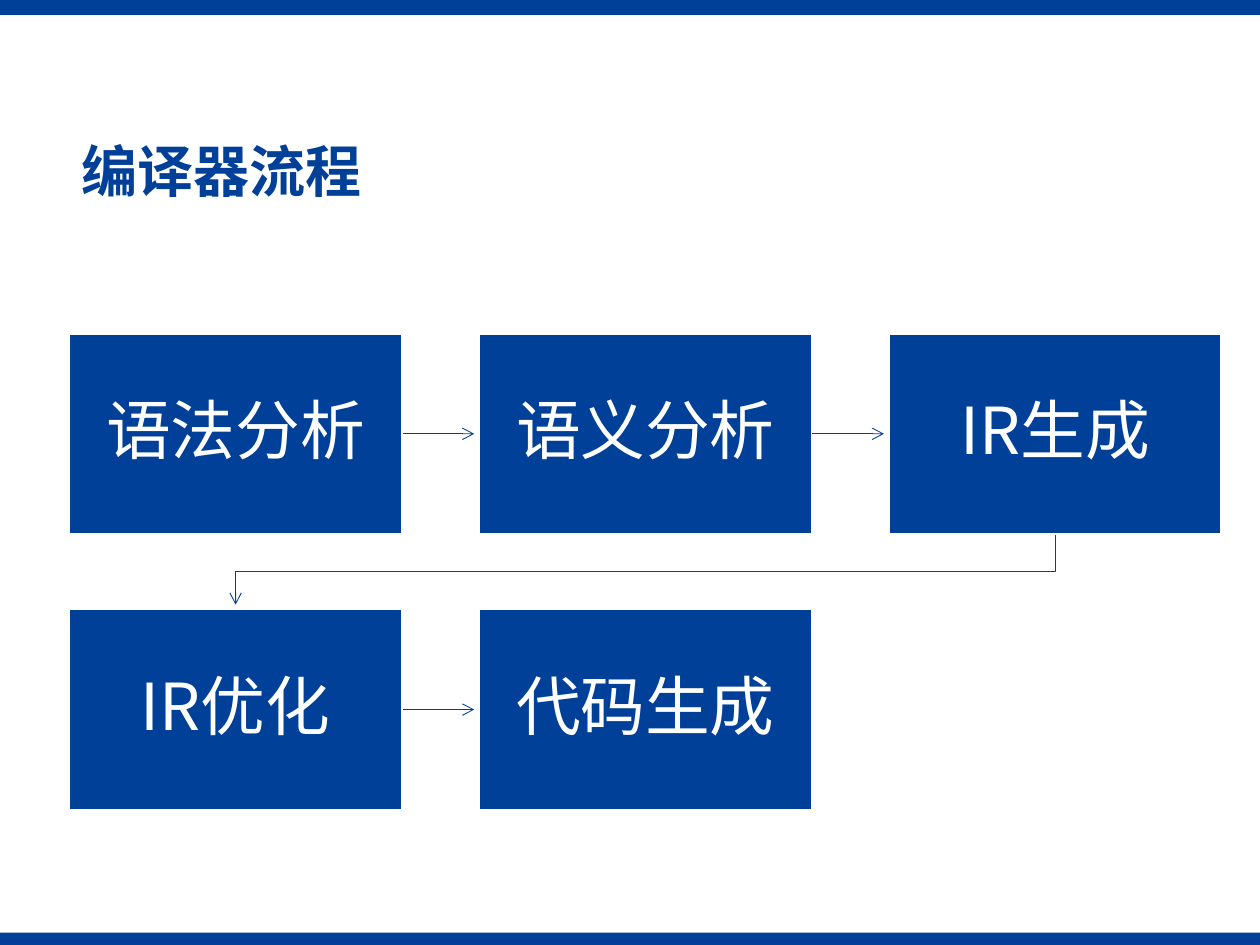
from dataclasses import dataclass

from lxml import etree
from pptx import Presentation
from pptx import util as u
from pptx.dml.color import RGBColor
from pptx.enum import shapes, text
from pptx.oxml import ns

BLUE = RGBColor(0x00, 0x40, 0x98)
WHITE = RGBColor(0xFF, 0xFF, 0xFF)
FONT = "Noto Sans CJK SC"

PAGE_WIDTH, PAGE_HEIGHT = u.Cm(25.4), u.Cm(19.05)
COLUMNS = 3
GRID_LEFT, GRID_TOP = u.Cm(1.4), u.Cm(6.73)
BOX_WIDTH, BOX_HEIGHT = u.Cm(6.7), u.Cm(4.03)
COLUMN_PITCH, ROW_PITCH = u.Cm(8.26), u.Cm(5.56)
ARROW_GAP = u.Cm(0.1)
INSET = u.Cm(0.74)


@dataclass(frozen=True)
class Step:
    label: str
    left: int
    top: int

    @property
    def right(self) -> int:
        return self.left + BOX_WIDTH

    @property
    def bottom(self) -> int:
        return self.top + BOX_HEIGHT

    @property
    def center(self) -> int:
        return self.left + BOX_WIDTH // 2

    @property
    def middle(self) -> int:
        return self.top + BOX_HEIGHT // 2


def place_steps(labels: list[str]) -> list[Step]:
    return [
        Step(
            label,
            GRID_LEFT + index % COLUMNS * COLUMN_PITCH,
            GRID_TOP + index // COLUMNS * ROW_PITCH,
        )
        for index, label in enumerate(labels)
    ]


def add_span(para, words: str, size: float, color: RGBColor, bold: bool = False) -> None:
    para.line_spacing = 0.9
    span = para.add_run()
    span.text = words
    span.font.size = u.Pt(size)
    span.font.name = FONT
    span.font.bold = bold
    span.font.color.rgb = color
    east_asian = etree.SubElement(span.font._element, ns.qn("a:ea"))
    east_asian.set("typeface", FONT)


def add_block(page, left: int, top: int, width: int, height: int):
    block = page.shapes.add_shape(shapes.MSO_SHAPE.RECTANGLE, left, top, width, height)
    block.shadow.inherit = False
    block.fill.solid()
    block.fill.fore_color.rgb = BLUE
    block.line.fill.background()
    return block


def add_step(page, step: Step) -> None:
    box = add_block(page, step.left, step.top, BOX_WIDTH, BOX_HEIGHT)
    box.line.color.rgb = WHITE
    box.line.width = u.Pt(1)
    frame = box.text_frame
    frame.word_wrap = True
    frame.vertical_anchor = text.MSO_ANCHOR.MIDDLE
    frame.margin_left = frame.margin_right = INSET
    frame.margin_top = frame.margin_bottom = INSET
    para = frame.paragraphs[0]
    para.alignment = text.PP_ALIGN.CENTER
    add_span(para, step.label, 37, WHITE)


def style_arrow(arrow) -> None:
    arrow.line.color.rgb = BLUE
    arrow.line.width = u.Pt(0.5)
    head = etree.SubElement(arrow.line._get_or_add_ln(), ns.qn("a:tailEnd"))
    head.set("type", "arrow")


def add_straight_arrow(page, start: Step, end: Step) -> None:
    arrow = page.shapes.add_connector(
        shapes.MSO_CONNECTOR.STRAIGHT,
        start.right, start.middle, end.left - ARROW_GAP, end.middle,
    )
    style_arrow(arrow)
    etree.SubElement(arrow._element.spPr, ns.qn("a:effectLst"))


def add_return_arrow(page, start: Step, end: Step) -> None:
    turn = (start.bottom + end.top) // 2
    outline = page.shapes.build_freeform(start.center, start.bottom)
    outline.add_line_segments(
        [(start.center, turn), (end.center, turn), (end.center, end.top - ARROW_GAP)],
        close=False,
    )
    arrow = outline.convert_to_shape()
    arrow.shadow.inherit = False
    arrow.fill.background()
    style_arrow(arrow)


def add_title(page, words: str) -> None:
    title = page.shapes.title
    title.left, title.top = u.Cm(1.38), u.Cm(2.72)
    title.width, title.height = u.Cm(23.26), u.Cm(1.6)
    frame = title.text_frame
    frame.vertical_anchor = text.MSO_ANCHOR.MIDDLE
    para = frame.paragraphs[0]
    para.alignment = text.PP_ALIGN.LEFT
    add_span(para, words, 32, BLUE, bold=True)


def main() -> None:
    deck = Presentation()
    deck.slide_width, deck.slide_height = PAGE_WIDTH, PAGE_HEIGHT
    page = deck.slides.add_slide(deck.slide_layouts[5])

    footer_height = u.Cm(0.25)
    add_block(page, 0, PAGE_HEIGHT - footer_height, PAGE_WIDTH, footer_height)
    add_block(page, 0, 0, PAGE_WIDTH, u.Cm(0.3))
    add_title(page, "编译器流程")

    steps = place_steps(["语法分析", "语义分析", "IR生成", "IR优化", "代码生成"])
    for start, end in zip(steps, steps[1:]):
        if start.top == end.top:
            add_straight_arrow(page, start, end)
        else:
            add_return_arrow(page, start, end)
    for step in steps:
        add_step(page, step)

    deck.save("out.pptx")


if __name__ == "__main__":
    main()
